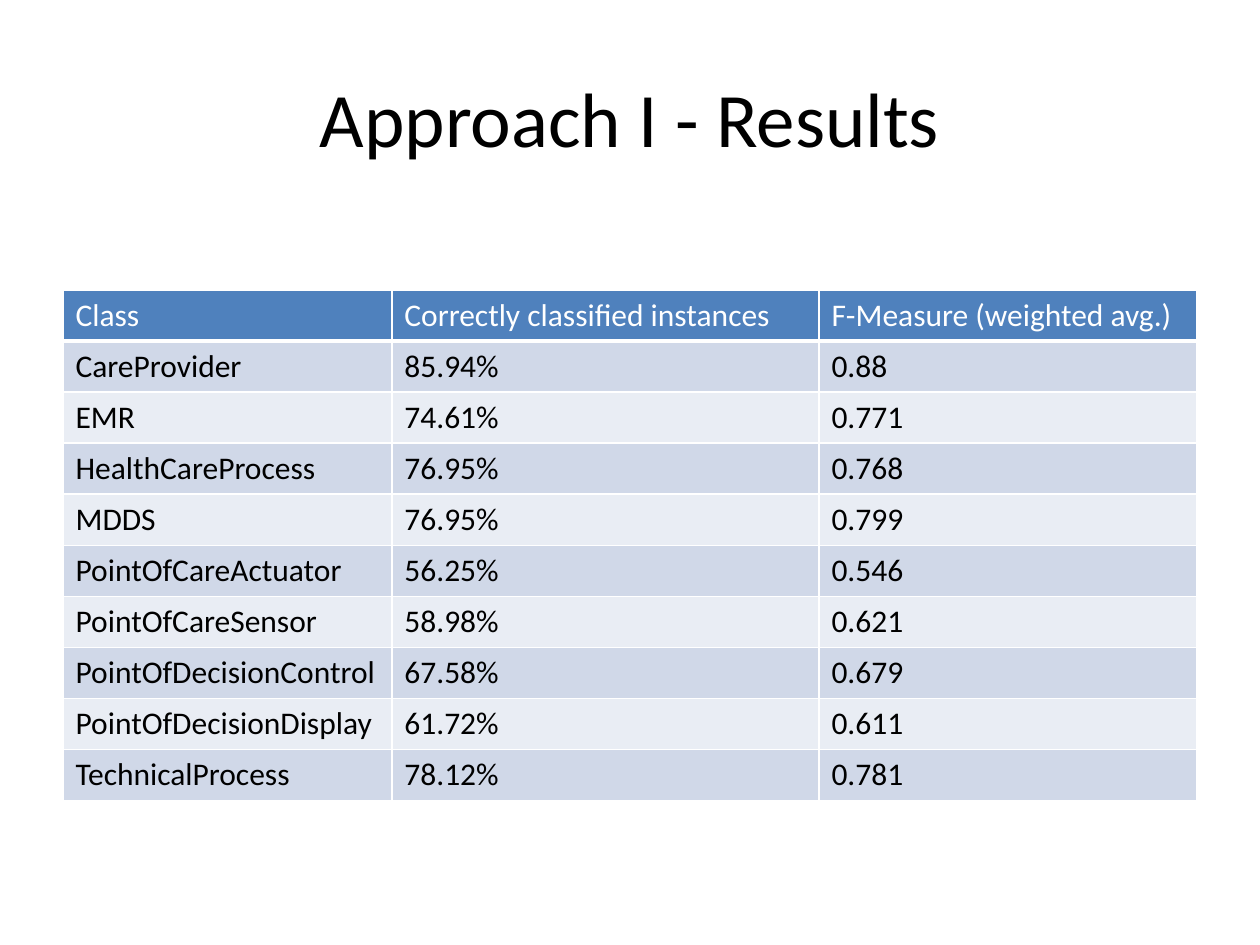
from lxml.etree import SubElement
from pptx import Presentation
from pptx.dml.color import RGBColor
from pptx.enum.text import MSO_ANCHOR, PP_ALIGN
from pptx.oxml.ns import qn
from pptx.util import Inches, Pt

COLORS = {
    "text": "000000",
    "white": "FFFFFF",
    "head": "4F81BD",
    "odd": "D0D8E8",
    "even": "E9EDF4",
}
WIDTHS = [2.61, 3.39, 3]
ROWS = [
    ("Class", "Correctly classified instances", "F-Measure (weighted avg.)"),
    ("CareProvider", "85.94%", "0.88"),
    ("EMR", "74.61%", "0.771"),
    ("HealthCareProcess", "76.95%", "0.768"),
    ("MDDS", "76.95%", "0.799"),
    ("PointOfCareActuator", "56.25%", "0.546"),
    ("PointOfCareSensor", "58.98%", "0.621"),
    ("PointOfDecisionControl", "67.58%", "0.679"),
    ("PointOfDecisionDisplay", "61.72%", "0.611"),
    ("TechnicalProcess", "78.12%", "0.781"),
]


class Deck:
    font = "Calibri"

    def __init__(self, slide):
        self.slide = slide

    def style(self, para, size, color):
        para.font.name = self.font
        para.font.size = Pt(size)
        para.font.color.rgb = RGBColor.from_string(COLORS[color])

    def title(self, text, left, top, width, height):
        shape = self.slide.shapes.title
        shape.left, shape.top = Inches(left), Inches(top)
        shape.width, shape.height = Inches(width), Inches(height)
        frame = shape.text_frame
        frame.text = text
        frame.vertical_anchor = MSO_ANCHOR.MIDDLE
        para = frame.paragraphs[0]
        para.alignment = PP_ALIGN.CENTER
        self.style(para, 44, "text")

    def border(self, cell, base):
        props = cell._tc.get_or_add_tcPr()
        for side, width in (("L", 1), ("R", 1), ("T", 1), ("B", base)):
            line = SubElement(props, qn(f"a:ln{side}"), w=str(Pt(width)))
            fill = SubElement(line, qn("a:solidFill"))
            SubElement(fill, qn("a:srgbClr"), val=COLORS["white"])

    def cell(self, cell, text, fill, color, base):
        cell.text = text
        self.style(cell.text_frame.paragraphs[0], 18, color)
        # Borders must come before the fill in the cell properties
        self.border(cell, base)
        cell.fill.solid()
        cell.fill.fore_color.rgb = RGBColor.from_string(COLORS[fill])

    def table(self, rows, widths, left, top, height):
        frame = self.slide.shapes.add_table(
            len(rows), len(widths), Inches(left), Inches(top),
            Inches(sum(widths)), Inches(height))
        table = frame.table
        for col, width in zip(table.columns, widths):
            col.width = Inches(width)
        for r, row in enumerate(rows):
            if r == 0:
                look = ("head", "white", 3)
            else:
                look = ("odd" if r % 2 else "even", "text", 1)
            for c, text in enumerate(row):
                self.cell(table.cell(r, c), text, *look)


def main():
    prs = Presentation()
    prs.slide_width, prs.slide_height = Inches(10), Inches(7.5)
    deck = Deck(prs.slides.add_slide(prs.slide_layouts[5]))

    # Title
    deck.title("Approach I - Results", 0.5, 0.3, 9, 1.25)

    # Results for each class
    deck.table(ROWS, WIDTHS, 0.5, 2.3, 4.05)

    prs.save("out.pptx")


if __name__ == "__main__":
    main()
